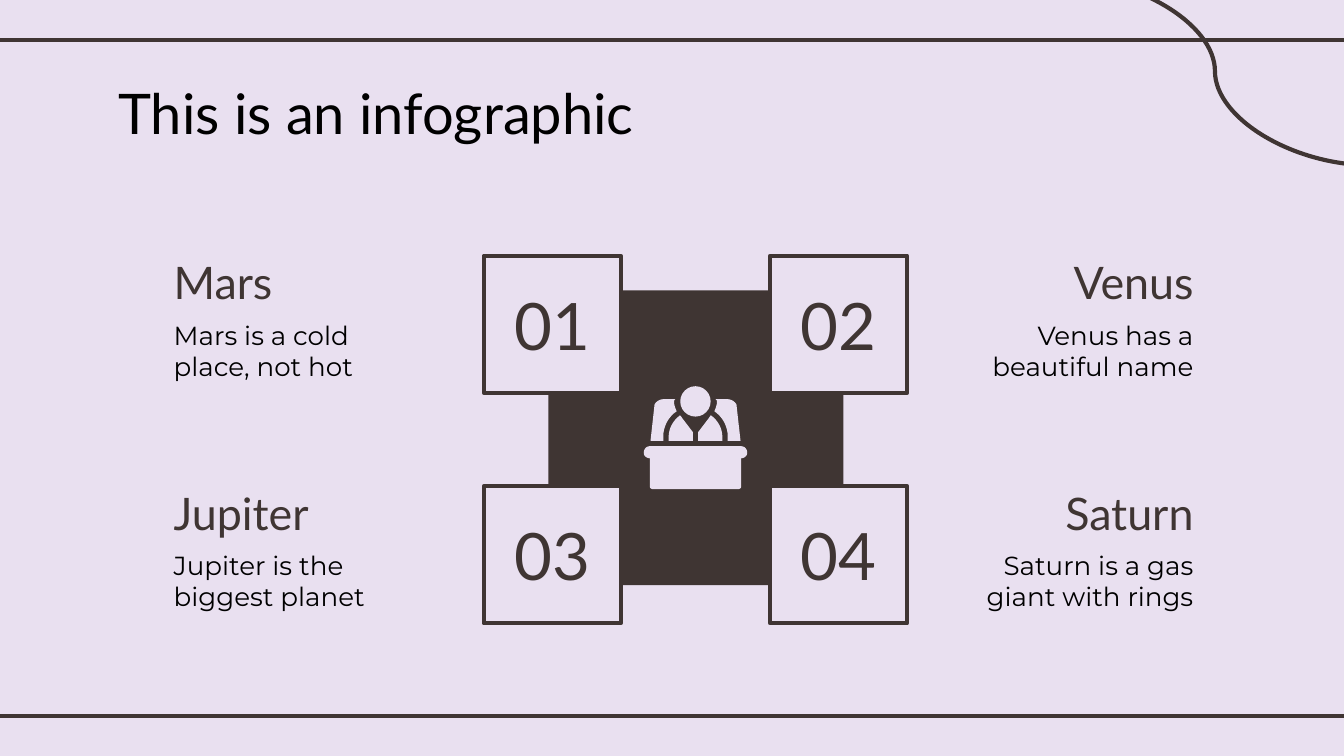
from lxml.etree import SubElement
from pptx import Presentation
from pptx.dml.color import RGBColor
from pptx.enum.shapes import MSO_CONNECTOR, MSO_SHAPE
from pptx.enum.text import MSO_ANCHOR, MSO_AUTO_SIZE, PP_ALIGN
from pptx.oxml.ns import qn
from pptx.util import Inches, Pt

DARK = RGBColor(0x3F, 0x35, 0x33)
PALE = RGBColor(0xE9, 0xE0, 0xF0)
BLACK = RGBColor(0, 0, 0)

deck = Presentation()
deck.slide_width = Inches(10)
deck.slide_height = deck.slide_width * 9 // 16
UNIT = deck.slide_width / 100  # square grid, 100 columns wide


def grid(*cells):
    """Turn counts of grid columns and rows into lengths."""
    return [round(cell * UNIT) for cell in cells]


def write(box, text, size, font, color, align=PP_ALIGN.LEFT, anchor=MSO_ANCHOR.TOP):
    frame = box.text_frame
    frame.word_wrap = True
    frame.auto_size = MSO_AUTO_SIZE.NONE
    frame.vertical_anchor = anchor
    frame.margin_left, frame.margin_top, frame.margin_right, frame.margin_bottom = grid(1, 1, 1, 1)
    para = frame.paragraphs[0]
    para.alignment = align
    run = para.add_run()
    run.text = text
    run.font.size = Pt(size)
    run.font.name = font
    run.font.color.rgb = color


slide = deck.slides.add_slide(deck.slide_layouts[5])
shapes = slide.shapes
slide.background.fill.solid()
slide.background.fill.fore_color.rgb = PALE

# Frame lines and corner curve
for kind, ends in (
    (MSO_CONNECTOR.STRAIGHT, (-0.8, 3, 100.8, 3)),
    (MSO_CONNECTOR.STRAIGHT, (-0.8, 53.3, 100.8, 53.3)),
    (MSO_CONNECTOR.CURVE, (78.8, -1.7, 102, 12.3)),
):
    line = shapes.add_connector(kind, *grid(*ends))
    line.line.color.rgb = DARK
    line.line.width = Pt(2.25)
    SubElement(line._element.spPr, qn("a:effectLst"))

title = shapes.title
title.left, title.top, title.width, title.height = grid(7.8, 4.87, 84.4, 6.3)
write(title, "This is an infographic", 30, "Lato", BLACK)

# Centre block
core = shapes.add_shape(MSO_SHAPE.RECTANGLE, *grid(40.8, 21.6, 21.95, 21.95))
core.shadow.inherit = False
core.fill.solid()
core.fill.fore_color.rgb = DARK
core.line.fill.background()

# Planets: two rows, left and right of the block
planets = (
    ("Mars", "Mars is a cold place, not hot"),
    ("Venus", "Venus has a beautiful name"),
    ("Jupiter", "Jupiter is the biggest planet"),
    ("Saturn", "Saturn is a gas giant with rings"),
)
for index, (name, fact) in enumerate(planets):
    row, side = divmod(index, 2)
    top = 19.03 + 17.15 * row
    left = 36 + 21.3 * side
    align = (PP_ALIGN.LEFT, PP_ALIGN.RIGHT)[side]

    head = shapes.add_textbox(*grid((11.94, 69.8)[side], top, 20, 3.9))
    write(head, name, 24, "Lato", DARK, align, MSO_ANCHOR.MIDDLE)
    body = shapes.add_textbox(*grid((11.94, 71.6)[side], top + 3.7, 18.2, 7.8))
    write(body, fact, 14, "Montserrat", BLACK, align)

    square = shapes.add_shape(MSO_SHAPE.RECTANGLE, *grid(left, top, 10.2, 10.2))
    square.shadow.inherit = False
    square.fill.solid()
    square.fill.fore_color.rgb = PALE
    square.line.color.rgb = DARK
    square.line.width = Pt(2.25)
    label = shapes.add_textbox(*grid(left - 0.45, top + 1.45, 11.1, 7.3))
    write(label, f"{index + 1:02}", 35, "Lato", DARK, PP_ALIGN.CENTER, MSO_ANCHOR.MIDDLE)

# Icon: a person at a desk, mirrored about its axis.
# A pair is a corner; six numbers are a Bézier curve. x counts from the axis.
AXIS, STEPS = 51.75, 8
chair = [(1.5, 29.7), (1.6, 29.8, 1.6, 29.8, 1.6, 29.9), (1.6, 30.1, 1.5, 30.4, 1.4, 30.6),
         (2, 31, 2.4, 31.7, 2.4, 32.5), (2.4, 32.8), (3.35, 32.8), (3.05, 30.1),
         (2.95, 29.9, 2.7, 29.7, 2.35, 29.7)]
arm = [(1.15, 30.9), (1.15, 30.9, 1.05, 31, 1, 31.1), (0.2, 32.15), (0.2, 32.8),
       (2, 32.8), (2, 32.5), (2, 31.9, 1.7, 31.3, 1.15, 30.9)]
desk = [(-3.4, 33.2), (-3.65, 33.2, -3.85, 33.4, -3.85, 33.7),
        (-3.85, 33.9, -3.65, 34.1, -3.4, 34.1), (-3.4, 36.2),
        (-3.4, 36.3, -3.3, 36.4, -3.15, 36.4), (3.15, 36.4),
        (3.3, 36.4, 3.4, 36.3, 3.4, 36.2), (3.4, 34.1),
        (3.65, 34.1, 3.85, 33.9, 3.85, 33.7), (3.85, 33.4, 3.65, 33.2, 3.4, 33.2)]

parts = [shapes.add_shape(MSO_SHAPE.OVAL, *grid(AXIS - 1.13, 28.74, 2.26, 2.26))]
for outline, flip in ((desk, 1), (chair, 1), (chair, -1), (arm, 1), (arm, -1)):
    dots = [outline[0]]
    for node in outline[1:]:
        if len(node) == 2:
            dots.append(node)
            continue
        start = dots[-1]
        for step in range(1, STEPS + 1):
            t = step / STEPS
            u = 1 - t
            dots.append([u**3 * start[i] + 3 * u * u * t * node[i]
                         + 3 * u * t * t * node[i + 2] + t**3 * node[i + 4] for i in (0, 1)])
    dots = [grid(AXIS + flip * x, y) for x, y in dots]
    pen = shapes.build_freeform(*dots[0])
    pen.add_line_segments(dots[1:], close=True)
    parts.append(pen.convert_to_shape())

for part in parts:
    part.shadow.inherit = False
    part.fill.solid()
    part.fill.fore_color.rgb = PALE
    part.line.fill.background()

deck.save("out.pptx")
